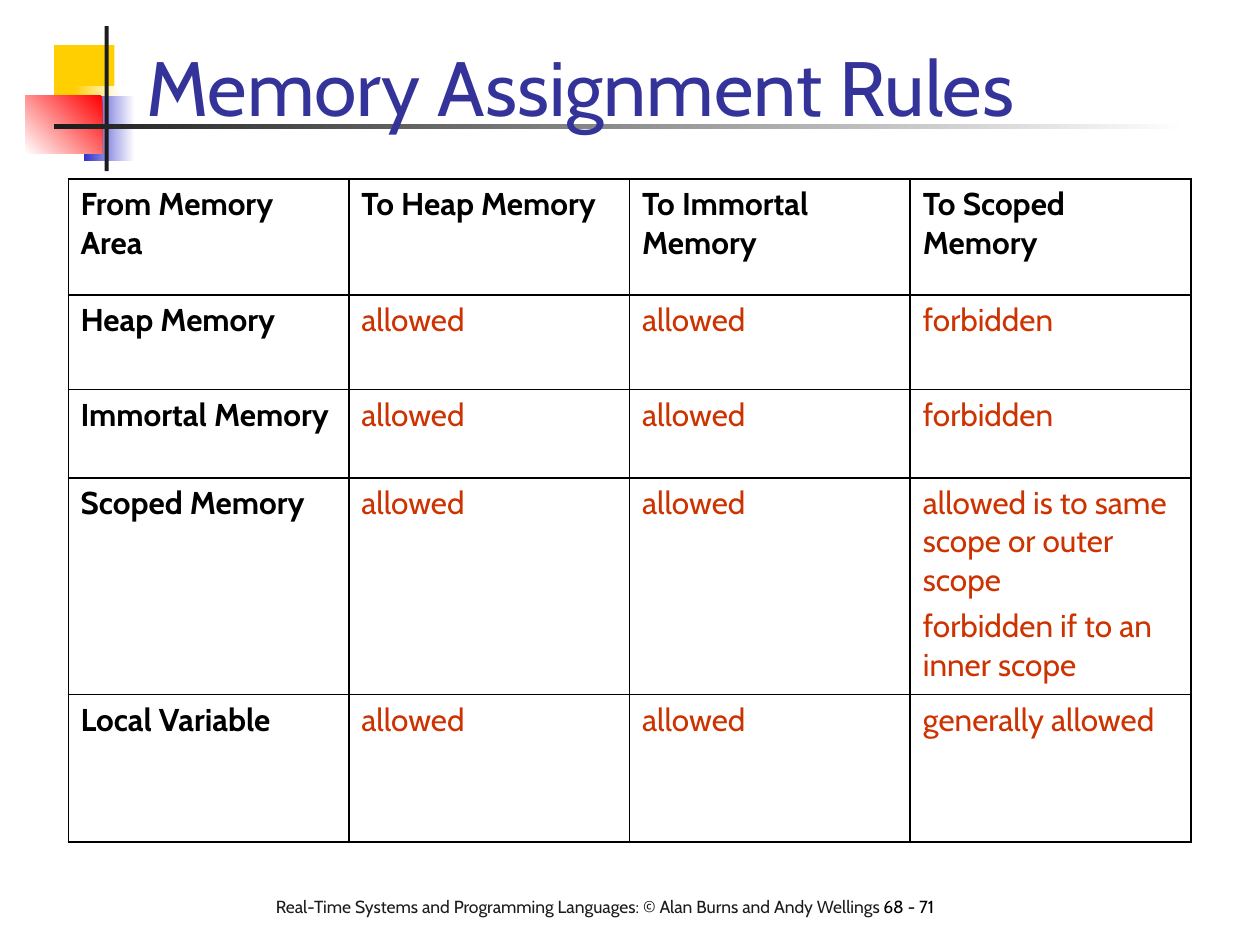
import pptx
import pptx.util
import pptx.dml.color
import pptx.enum.shapes
import pptx.enum.text
import pptx.oxml.ns
from lxml import etree

Cm, Pt = pptx.util.Cm, pptx.util.Pt
FONT = "Cabin"
HEX = {
    "white": "FFFFFF", "black": "000000", "ink": "1C1C1C", "gold": "FFCF01",
    "blue": "3333CC", "red": "FF0000", "title": "333399", "rule": "CC3300",
}

# left, top, width, height in cm, colours from start to end, angle
DECOR = [
    (1.09, 0.91, 1.22, 1.32, ["gold"], 0),
    (1.5, 1.73, 0.91, 1.32, ["white", "gold"], 180),
    (1.7, 1.93, 1.02, 1.32, ["white", "blue"], 180),
    (0.51, 1.93, 1.55, 1.17, ["red", "white"], 225),
    (2.11, 0.53, 0.08, 2.92, ["ink"], 0),
    (1.09, 2.51, 22.86, 0.1, ["white", "ink"], 180),
]
ROWS = [
    ["From Memory Area", "To Heap Memory", "To Immortal Memory", "To Scoped Memory"],
    ["Heap Memory", "allowed", "allowed", "forbidden"],
    ["Immortal Memory", "allowed", "allowed", "forbidden"],
    ["Scoped Memory", "allowed", "allowed",
     "allowed is to same scope or outer scope\nforbidden if to an inner scope"],
    ["Local Variable", "allowed", "allowed", "generally allowed"],
]
HEIGHTS = [2.34, 1.9, 1.78, 4.37, 2.97]
COLUMN = 5.66


def tint(name):
    return pptx.dml.color.RGBColor.from_string(HEX[name])


def style(font, size, color, bold=False):
    font.name, font.size, font.bold = FONT, Pt(size), bold
    font.color.rgb = tint(color)


def add_block(slide, left, top, width, height, colors, angle):
    """Add a rectangle filled with one colour or a two-colour gradient."""
    block = slide.shapes.add_shape(
        pptx.enum.shapes.MSO_SHAPE.RECTANGLE, Cm(left), Cm(top), Cm(width), Cm(height))
    block.shadow.inherit = False
    block.line.fill.background()
    if len(colors) == 1:
        block.fill.solid()
        block.fill.fore_color.rgb = tint(colors[0])
        return
    block.fill.gradient()
    block.fill.gradient_angle = angle
    for stop, color in zip(block.fill.gradient_stops, colors):
        stop.color.rgb = tint(color)


def set_title(slide, text):
    title = slide.shapes.title
    title.left, title.top, title.width, title.height = Cm(2.69), Cm(0.33), Cm(21.64), Cm(2.46)
    frame = title.text_frame
    frame.text = text
    frame.vertical_anchor = pptx.enum.text.MSO_ANCHOR.BOTTOM
    frame.paragraphs[0].alignment = pptx.enum.text.PP_ALIGN.LEFT
    style(frame.paragraphs[0].font, 44, "title")
    # The title stands in front of the decoration
    slide.shapes._spTree.append(title._element)


def add_footer(slide, parts):
    box = slide.shapes.add_textbox(Cm(5.31), Cm(17.93), Cm(15.39), Cm(1.17))
    box.text_frame.word_wrap = True
    line = box.text_frame.paragraphs[0]
    for text, color in parts:
        run = line.add_run()
        run.text = text
        style(run.font, 10, color)


def set_border(cell, side, width):
    props = cell._tc.get_or_add_tcPr()
    line = etree.SubElement(props, pptx.oxml.ns.qn("a:" + side), w=str(Pt(width)))
    fill = etree.SubElement(line, pptx.oxml.ns.qn("a:solidFill"))
    etree.SubElement(fill, pptx.oxml.ns.qn("a:srgbClr"), val=HEX["black"])


def fill_cell(cell, text, head, first):
    cell.text = text
    for para in cell.text_frame.paragraphs:
        para.space_before = Pt(4.5)
        style(para.font, 18, "black" if head else "rule", head)
    for side in ("lnL", "lnR", "lnT", "lnB"):
        set_border(cell, side, 0.45 if first and side == "lnL" else 1.08)
    cell.fill.background()


def add_rules(slide):
    count = len(ROWS[0])
    table = slide.shapes.add_table(
        len(ROWS), count, Cm(1.37), Cm(3.61), Cm(COLUMN * count), Cm(sum(HEIGHTS))).table
    table.first_row = table.horz_banding = False
    for column in table.columns:
        column.width = Cm(COLUMN)
    for r, (texts, height) in enumerate(zip(ROWS, HEIGHTS)):
        table.rows[r].height = Cm(height)
        for c, text in enumerate(texts):
            fill_cell(table.cell(r, c), text, r == 0 or c == 0, c == 0)


def main():
    deck = pptx.Presentation()
    deck.slide_width, deck.slide_height = Cm(25.4), Cm(19.05)
    slide = deck.slides.add_slide(deck.slide_layouts[5])
    for block in DECOR:
        add_block(slide, *block)
    add_footer(slide, [
        ("Real-Time Systems and Programming Languages: © Alan Burns and Andy Wellings ", "ink"),
        ("68 - 71", "black"),
    ])
    set_title(slide, "Memory Assignment Rules")
    add_rules(slide)
    deck.save("out.pptx")


if __name__ == "__main__":
    main()
